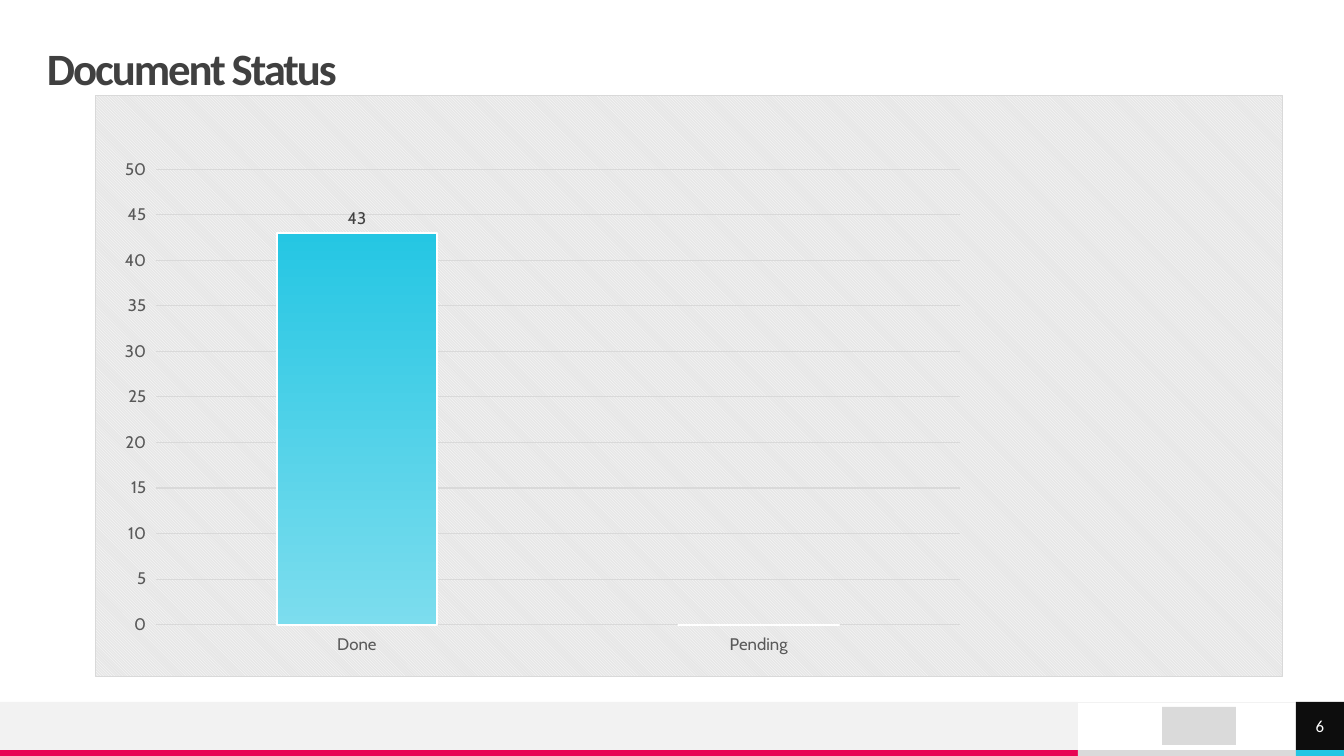
from lxml import etree
from pptx import Presentation
from pptx.chart.data import CategoryChartData
from pptx.dml.color import RGBColor
from pptx.enum.chart import XL_CHART_TYPE, XL_LABEL_POSITION
from pptx.enum.shapes import MSO_CONNECTOR, MSO_SHAPE
from pptx.enum.text import MSO_ANCHOR, PP_ALIGN
from pptx.oxml import parse_xml
from pptx.oxml.ns import nsdecls, qn
from pptx.util import Pt

EMU_PER_PX = 914400 / 100.8
SLIDE_W, SLIDE_H = 1344, 756
FOOTER_TOP, STRIPE_TOP = 702, 750
BAND_RIGHT, NUMBER_LEFT = 1078, 1296

CYAN = RGBColor(0x25, 0xC6, 0xE3)
PALE_CYAN = RGBColor(0x7C, 0xDD, 0xEE)
PINK = RGBColor(0xE8, 0x05, 0x54)
WHITE = RGBColor(0xFF, 0xFF, 0xFF)
BLACK = RGBColor(0x00, 0x00, 0x00)
FOOTER_GREY = RGBColor(0xF2, 0xF2, 0xF2)
STRIPE_GREY = RGBColor(0xDA, 0xDA, 0xDA)
PATTERN_GREY = RGBColor(0xE6, 0xE6, 0xE6)
GRID_GREY = RGBColor(0xD9, 0xD9, 0xD9)
AXIS_GREY = RGBColor(0x59, 0x59, 0x59)
DARK_GREY = RGBColor(0x40, 0x40, 0x40)
NEAR_BLACK = RGBColor(0x0D, 0x0D, 0x0D)


def px(*lengths):
    """Turn lengths in px into EMU."""
    return [round(length * EMU_PER_PX) for length in lengths]


def format_font(font, size, color, name="Calibri", bold=False):
    font.size, font.name, font.bold = Pt(size), name, bold
    font.color.rgb = color


def center_without_margins(text_frame):
    text_frame.margin_left = text_frame.margin_right = 0
    text_frame.margin_top = text_frame.margin_bottom = 0
    text_frame.vertical_anchor = MSO_ANCHOR.MIDDLE


def add_rectangle(slide, left, top, width, height, color):
    shape = slide.shapes.add_shape(MSO_SHAPE.RECTANGLE, *px(left, top, width, height))
    shape.shadow.inherit = False
    shape.fill.solid()
    shape.fill.fore_color.rgb = color
    shape.line.fill.background()
    return shape


def add_footer(slide):
    band_height = STRIPE_TOP - FOOTER_TOP
    add_rectangle(slide, 0, FOOTER_TOP, BAND_RIGHT, band_height, FOOTER_GREY)
    edges = [0, BAND_RIGHT, NUMBER_LEFT, SLIDE_W]
    for left, right, color in zip(edges, edges[1:], (PINK, STRIPE_GREY, CYAN)):
        add_rectangle(slide, left, STRIPE_TOP, right - left, SLIDE_H - STRIPE_TOP, color)
    add_rectangle(slide, 1162, 707, 74, 38, STRIPE_GREY)

    rule = slide.shapes.add_connector(
        MSO_CONNECTOR.STRAIGHT, *px(SLIDE_W, FOOTER_TOP, 0, FOOTER_TOP))
    rule.line.color.rgb, rule.line.width = FOOTER_GREY, Pt(0.5)
    etree.SubElement(rule._element.spPr, qn("a:effectLst"))


def add_slide_number(slide, number):
    box = add_rectangle(slide, NUMBER_LEFT, FOOTER_TOP, SLIDE_W - NUMBER_LEFT,
                        STRIPE_TOP - FOOTER_TOP, NEAR_BLACK)
    box.text_frame.text = number
    center_without_margins(box.text_frame)
    paragraph = box.text_frame.paragraphs[0]
    paragraph.alignment = PP_ALIGN.CENTER
    format_font(paragraph.runs[0].font, 12, WHITE)


def set_title(slide, text):
    title = slide.shapes.title
    title.left, title.top, title.width, title.height = px(47, 47, 1249, 47)
    title.text_frame.text = text
    center_without_margins(title.text_frame)
    paragraph = title.text_frame.paragraphs[0]
    paragraph.alignment, paragraph.line_spacing = PP_ALIGN.LEFT, 0.9
    font = paragraph.runs[0].font
    format_font(font, 32, DARK_GREY, bold=True)
    font._element.set("spc", "-150")


def format_chart_area(chart):
    """Give the chart a striped ground, a thin border and a fixed plot area."""
    chart_element = chart._chartSpace.find(qn("c:chart"))
    chart_element.addnext(parse_xml(
        f'<c:spPr {nsdecls("c", "a")}><a:pattFill prst="dkDnDiag">'
        f'<a:fgClr><a:srgbClr val="{WHITE}"/></a:fgClr>'
        f'<a:bgClr><a:srgbClr val="{PATTERN_GREY}"/></a:bgClr></a:pattFill>'
        f'<a:ln w="9525"><a:solidFill><a:srgbClr val="{GRID_GREY}"/></a:solidFill></a:ln>'
        '</c:spPr>'))
    plot_area = chart_element.find(qn("c:plotArea"))
    for layout in plot_area.findall(qn("c:layout")):
        plot_area.remove(layout)
    modes = "".join(f'<c:{side}Mode val="edge"/>' for side in "xy")
    place = "".join(f'<c:{key} val="{value}"/>' for key, value in
                    zip("xywh", (0.051, 0.127, 0.677, 0.784)))
    plot_area.insert(0, parse_xml(
        f'<c:layout {nsdecls("c")}><c:manualLayout><c:layoutTarget val="inner"/>'
        f'{modes}{place}</c:manualLayout></c:layout>'))


def format_columns(series):
    fill = series.format.fill
    fill.gradient()
    fill.gradient_angle = 270
    for stop, position, color in zip(fill.gradient_stops, (0, 1), (CYAN, PALE_CYAN)):
        stop.position, stop.color.rgb = position, color
    series.format.line.color.rgb, series.format.line.width = WHITE, Pt(1.5)
    label = series.points[0].data_label
    format_font(label.font, 12, DARK_GREY, "Cabin")
    label.position = XL_LABEL_POSITION.OUTSIDE_END


def add_status_chart(slide):
    data = CategoryChartData()
    data.categories = ["Done", "Pending"]
    data.add_series("Series 1", (43, 0))
    chart = slide.shapes.add_chart(
        XL_CHART_TYPE.COLUMN_CLUSTERED, *px(95, 95, 1188, 582), data).chart
    chart.has_title = chart.has_legend = False
    format_font(chart.font, 10, BLACK, "Cabin")
    for axis in (chart.category_axis, chart.value_axis):
        format_font(axis.tick_labels.font, 12, AXIS_GREY, "Cabin")
        axis.format.line.fill.background()
    values = chart.value_axis
    values.minimum_scale, values.maximum_scale, values.major_unit = 0, 50, 5
    grid = values.major_gridlines.format.line
    grid.color.rgb, grid.width = GRID_GREY, Pt(0.75)
    plot = chart.plots[0]
    plot.gap_width, plot.vary_by_categories = 150, False
    format_columns(plot.series[0])
    format_chart_area(chart)


def main():
    presentation = Presentation()
    presentation.slide_width, presentation.slide_height = px(SLIDE_W, SLIDE_H)
    slide = presentation.slides.add_slide(presentation.slide_layouts[5])
    add_footer(slide)
    add_slide_number(slide, "6")
    set_title(slide, "Document Status")
    add_status_chart(slide)
    presentation.save("out.pptx")


if __name__ == "__main__":
    main()
